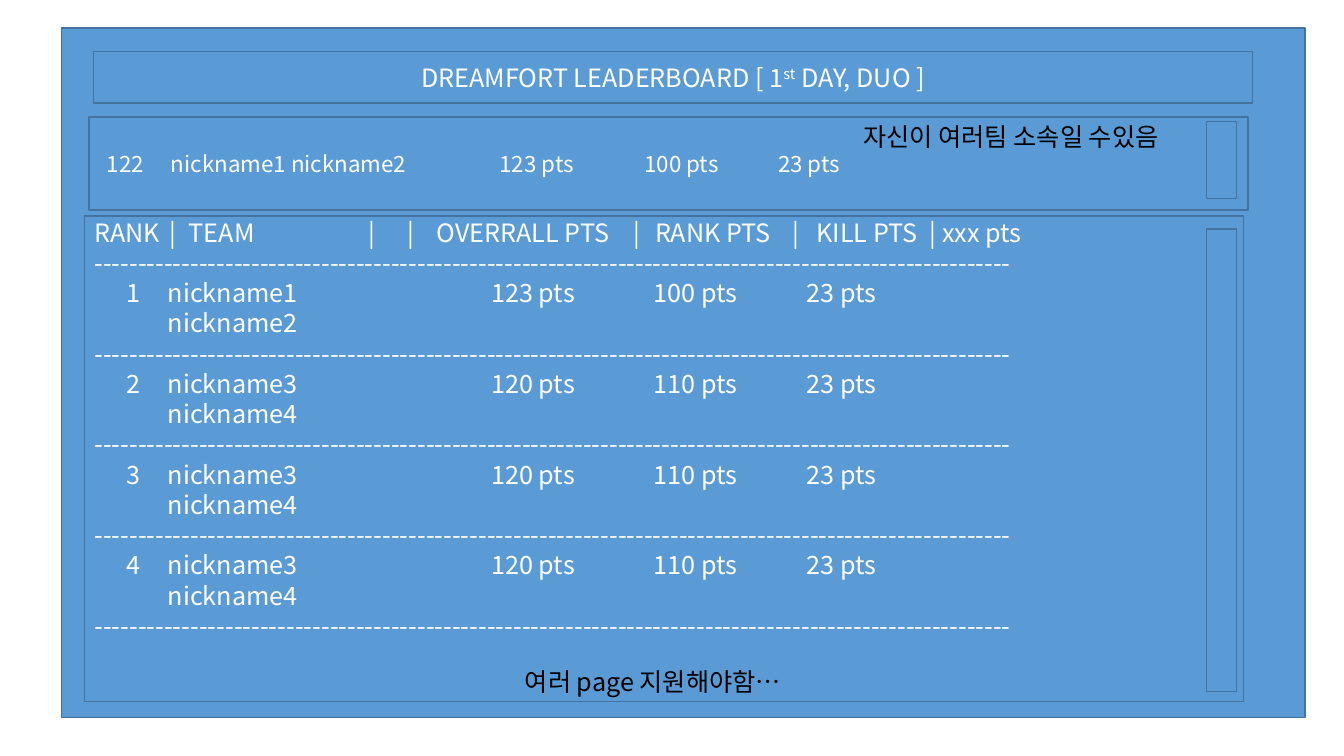
from lxml import etree
from pptx import Presentation
from pptx.dml.color import RGBColor
from pptx.enum.shapes import MSO_SHAPE
from pptx.enum.text import MSO_ANCHOR, PP_ALIGN
from pptx.oxml.ns import qn
from pptx.util import Cm, Pt

RECTANGLE = MSO_SHAPE.RECTANGLE
TOP, MIDDLE = MSO_ANCHOR.TOP, MSO_ANCHOR.MIDDLE
LEFT, CENTER = PP_ALIGN.LEFT, PP_ALIGN.CENTER

FONT = "Noto Sans CJK KR"
BLUE, EDGE, WHITE, BLACK = "5B9BD5", "43739E", "FFFFFF", "000000"
BAR_WIDTH, BAR_LEFT = 0.76, 30.4
BOX_WIDTH = 29.21

HEADER = "RANK\t|\tTEAM\t|\t|\tOVERRALL PTS\t|\tRANK PTS\t|\tKILL PTS\t| xxx pts"
HEADER_TABS = [1.9, 2.38, 6.9, 7.9, 8.63, 13.58, 14.13, 17.6, 18.2, 21.05]
TEAM_TABS = [0.8, 1.85, 10, 14.1, 17.95]
OWN_TABS = [0.2, 1.82, 10.1, 13.75, 17.12]
RULE = "-" * 105
TEAMS = [
    ("1", "nickname1", "nickname2", "123 pts", "100 pts", "23 pts"),
    ("2", "nickname3", "nickname4", "120 pts", "110 pts", "23 pts"),
    ("3", "nickname3", "nickname4", "120 pts", "110 pts", "23 pts"),
    ("4", "nickname3", "nickname4", "120 pts", "110 pts", "23 pts"),
]


def rgb(color):
    return RGBColor.from_string(color)


def add_box(slide, left, top, width, height):
    box = slide.shapes.add_shape(
        RECTANGLE, Cm(left), Cm(top), Cm(width), Cm(height))
    box.shadow.inherit = False
    box.fill.solid()
    box.fill.fore_color.rgb = rgb(BLUE)
    box.line.color.rgb = rgb(EDGE)
    box.line.width = Pt(1)
    return box


def set_tabs(paragraph, stops):
    """Place left tab stops, in cm from the text edge."""
    tab_list = etree.SubElement(
        paragraph._p.get_or_add_pPr(), qn("a:tabLst"))
    for stop in stops:
        etree.SubElement(tab_list, qn("a:tab"), pos=str(Cm(stop)), algn="l")


def style(paragraph, size=18, color=WHITE, align=LEFT):
    paragraph.alignment = align
    paragraph.line_spacing = Pt(size * 1.2)
    font = paragraph.font
    font.size = Pt(size)
    font.name = FONT
    font.color.rgb = rgb(color)
    etree.SubElement(font._element, qn("a:ea"), typeface=FONT)


def add_line(frame, text, stops=()):
    """Write text in the first empty paragraph, or in a new one."""
    last = frame.paragraphs[-1]
    paragraph = frame.add_paragraph() if last.runs else last
    paragraph.add_run().text = text
    if stops:
        set_tabs(paragraph, stops)
    return paragraph


def add_note(slide, text, left, top, width):
    note = slide.shapes.add_textbox(Cm(left), Cm(top), Cm(width), Cm(1.02))
    note.text_frame.word_wrap = False
    style(add_line(note.text_frame, text), color=BLACK)


def add_title(slide):
    frame = add_box(slide, 2.36, 1.3, BOX_WIDTH, 1.3).text_frame
    frame.vertical_anchor = MIDDLE
    title = add_line(frame, "DREAMFORT LEADERBOARD [ 1")
    ordinal = title.add_run()
    ordinal.text = "st"
    ordinal.font._element.set("baseline", "30000")
    title.add_run().text = " DAY, DUO ]"
    style(title, align=CENTER)


def add_leaderboard(slide):
    frame = add_box(slide, 2.13, 5.44, BOX_WIDTH, 12.24).text_frame
    frame.vertical_anchor = TOP
    frame.margin_top = Cm(0.03)
    style(add_line(frame, HEADER, HEADER_TABS))
    style(add_line(frame, RULE))
    for rank, first, second, *points in TEAMS:
        scores = "\t".join(points)
        style(add_line(frame, f"\t{rank}\t{first}\t{scores}", TEAM_TABS))
        style(add_line(frame, f"\t{second}", TEAM_TABS[1:]))
        style(add_line(frame, RULE))


def add_own_rank(slide):
    frame = add_box(slide, 2.24, 2.95, BOX_WIDTH, 2.34).text_frame
    frame.vertical_anchor = MIDDLE
    own = "\t122\tnickname1 nickname2\t123 pts\t100 pts\t23 pts"
    style(add_line(frame, own, OWN_TABS), size=16)


def main():
    deck = Presentation()
    deck.slide_width, deck.slide_height = Cm(33.87), Cm(19.05)
    slide = deck.slides.add_slide(deck.slide_layouts[6])

    add_box(slide, 1.55, 0.71, 31.34, 17.37)
    add_title(slide)
    add_leaderboard(slide)
    add_box(slide, BAR_LEFT, 5.77, BAR_WIDTH, 11.66)
    add_note(slide, "여러 page 지원해야함…", 12.98, 16.66, 7.32)
    add_own_rank(slide)
    add_note(slide, "자신이 여러팀 소속일 수있음", 21.51, 2.92, 8.89)
    add_box(slide, BAR_LEFT, 3.07, BAR_WIDTH, 1.93)

    deck.save("out.pptx")


if __name__ == "__main__":
    main()
